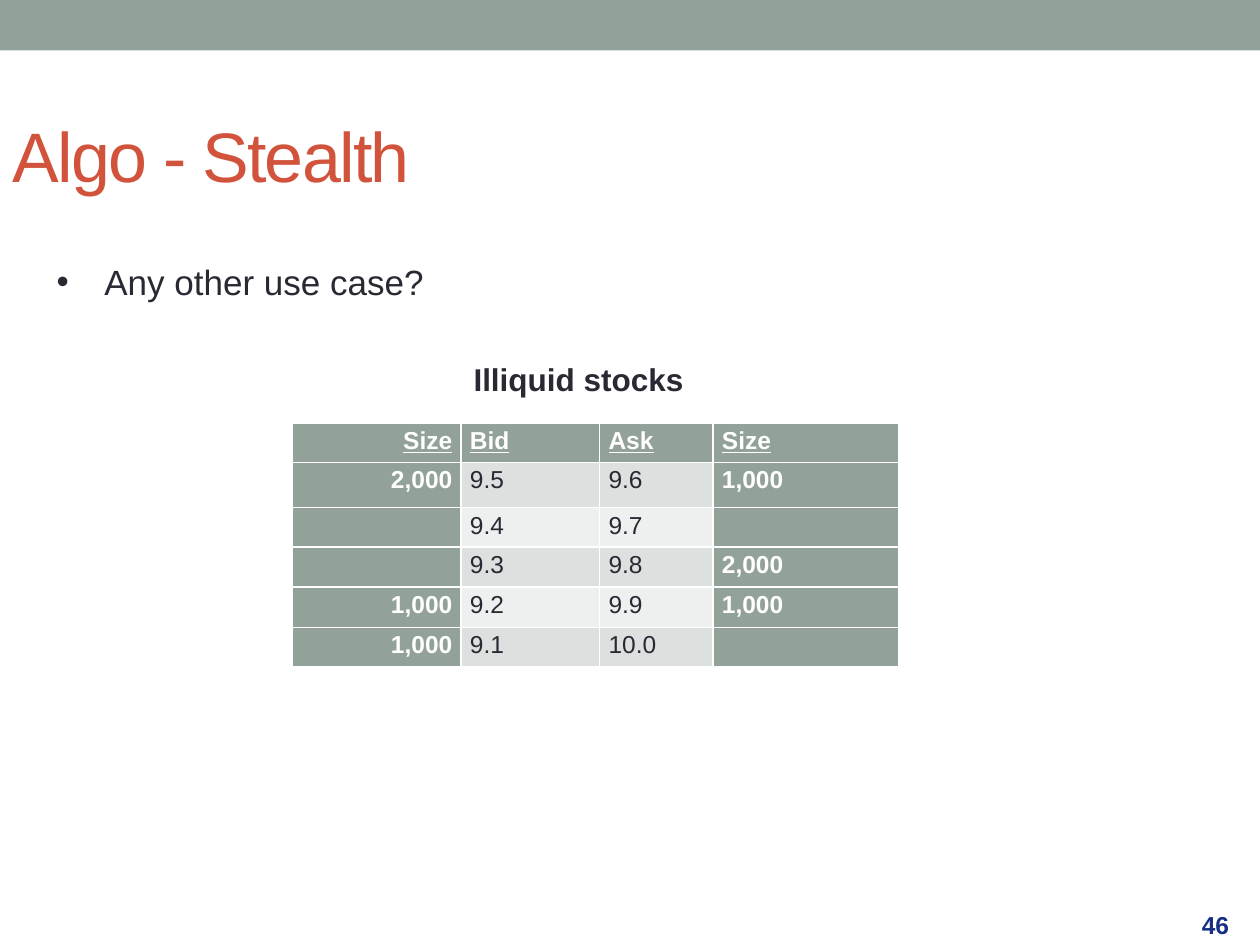
"""Build the stealth algorithm slide with its order book."""
from pptx import Presentation, util as u
from pptx.dml.color import RGBColor
from pptx.enum import shapes, text
from pptx.oxml.ns import qn
from lxml import etree

SAGE, WHITE, INK = "93A299", "FFFFFF", "292934"
BANDS = "DCE0DE", "EEF0EF"
WIDE, HIGH = 10, 7.5

LABELS = [
    ("46", (9.44, 7.14, 0.55, 0.39), 14, "152E82", True, "MIDDLE"),
    ("Algo - Stealth", (0, 0.68, 8.83, 1.09), 40, "D2533C", False, "MIDDLE"),
    ("Any other use case?", (0.35, 2.02, 7.32, 0.71), 20, INK, False, "TOP"),
    ("Illiquid stocks", (3.66, 2.81, 1.88, 0.4), 18, INK, True, "TOP"),
]
BOOK = [
    ("Size", "Bid", "Ask", "Size"),
    ("2,000", "9.5", "9.6", "1,000"),
    ("", "9.4", "9.7", ""),
    ("", "9.3", "9.8", "2,000"),
    ("1,000", "9.2", "9.9", "1,000"),
    ("1,000", "9.1", "10.0", ""),
]
COLS = 1.34, 1.1, 0.9, 1.47
ROWS = 0.31, 0.36, 0.31, 0.32, 0.32, 0.31


def rgb(code):
    return RGBColor.from_string(code)


def paint(shape, code):
    shape.fill.solid()
    shape.fill.fore_color.rgb = rgb(code)


def style(font, size, code, bold):
    font.name, font.size, font.bold = "Arial", u.Pt(size), bold
    font.color.rgb = rgb(code)


def label(slide, words, place, size, code, bold, anchor):
    box = slide.shapes.add_textbox(*map(u.Inches, place))
    frame = box.text_frame
    frame.word_wrap = True
    frame.vertical_anchor = getattr(text.MSO_ANCHOR, anchor)
    run = frame.paragraphs[0].add_run()
    run.text = words
    style(run.font, size, code, bold)
    return frame


def fill_cell(cell, words, row, col):
    head, side = row == 0, col in (0, len(COLS) - 1)
    strong = head or side
    paint(cell, SAGE if strong else BANDS[(row - 1) % 2])
    cell.margin_left = cell.margin_right = u.Inches(0.07)
    cell.margin_top = cell.margin_bottom = 0
    para = cell.text_frame.paragraphs[0]
    para.line_spacing = 1.15
    para.alignment = text.PP_ALIGN.RIGHT if col == 0 else text.PP_ALIGN.LEFT
    if not words:
        para.font.size = u.Pt(14)
        return
    run = para.add_run()
    run.text = words
    style(run.font, 14, WHITE if strong else INK, strong)
    run.font.underline = head


def main():
    deck = Presentation()
    deck.slide_width, deck.slide_height = u.Inches(WIDE), u.Inches(HIGH)
    slide = deck.slides.add_slide(deck.slide_layouts[6])

    band = slide.shapes.add_shape(
        shapes.MSO_SHAPE.RECTANGLE, 0, 0, deck.slide_width, u.Inches(0.4))
    band.shadow.inherit = False
    paint(band, SAGE)
    band.line.fill.background()

    page, title, point, name = [label(slide, *item) for item in LABELS]
    title.paragraphs[0].runs[0].font._element.set("spc", "-100")
    name.word_wrap = False
    props = point.paragraphs[0]._p.get_or_add_pPr()
    props.set("marL", str(u.Inches(0.38)))
    props.set("indent", str(u.Inches(-0.38)))
    etree.SubElement(props, qn("a:buFont")).set("typeface", "Arial")
    etree.SubElement(props, qn("a:buChar")).set("char", "•")

    place = map(u.Inches, (2.32, 3.36, sum(COLS), sum(ROWS)))
    table = slide.shapes.add_table(len(ROWS), len(COLS), *place).table
    for col, width in zip(table.columns, COLS):
        col.width = u.Inches(width)
    for row, height in zip(table.rows, ROWS):
        row.height = u.Inches(height)
    for r, line in enumerate(BOOK):
        for c, words in enumerate(line):
            fill_cell(table.cell(r, c), words, r, c)

    deck.save("out.pptx")


if __name__ == "__main__":
    main()
